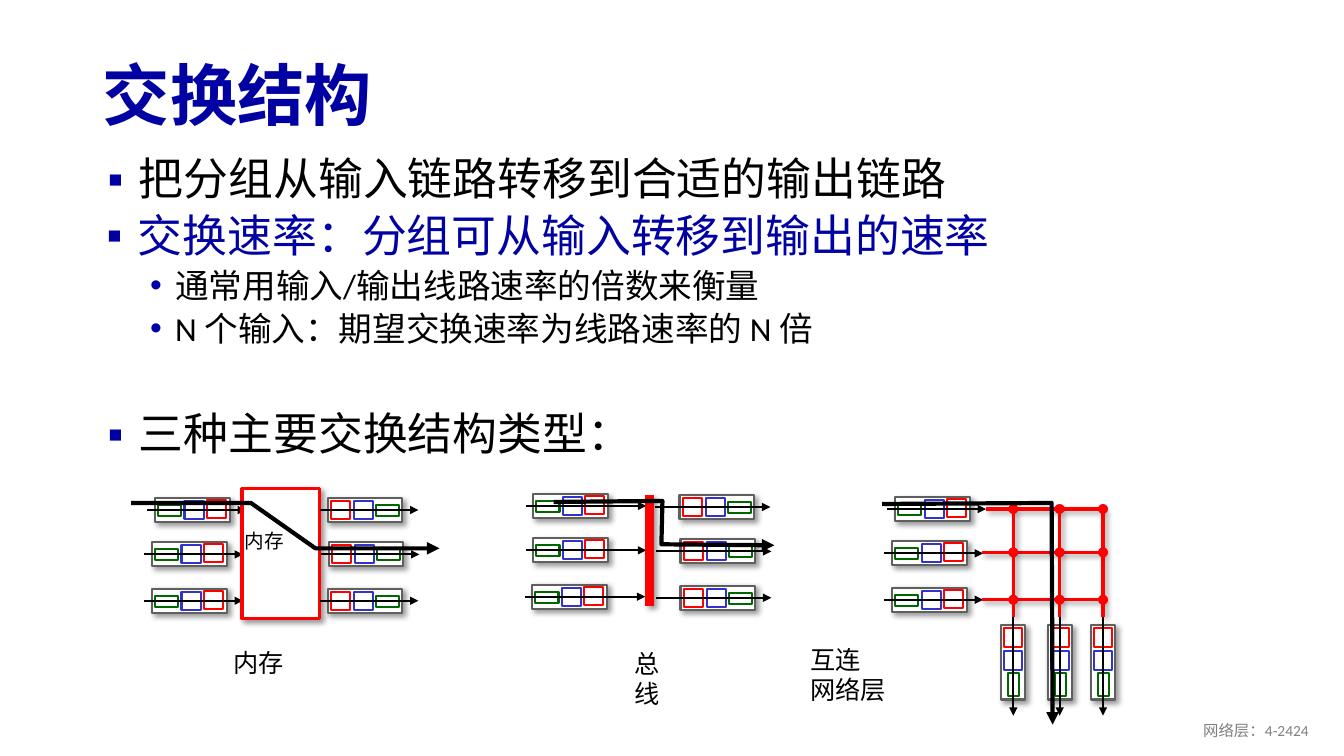
import lxml.etree
import pptx
import pptx.dml.color
import pptx.enum.shapes
import pptx.enum.text
import pptx.oxml
import pptx.oxml.ns
import pptx.util

Inches = pptx.util.Inches
Pt = pptx.util.Pt
Shapes = pptx.enum.shapes.MSO_SHAPE
Align = pptx.enum.text.PP_ALIGN
Anchor = pptx.enum.text.MSO_ANCHOR

COLORS = {"navy": "0000A3", "bullet": "0000A8", "black": "000000", "white": "FFFFFF",
          "frame": "5F5F5F", "green": "006600", "blue": "3333CC", "red": "FF0000",
          "footer": "808080"}
BUFFER_LENGTH, BUFFER_DEPTH = 0.74, 0.24
ROW_OFFSETS = (0, 0.44, 0.9)
# Packets in a buffer: colour, offset along it, offset across it, length, depth
INPUT_PACKETS = (("green", 0.03, 0.07, 0.23, 0.11), ("blue", 0.29, 0.03, 0.19, 0.18),
                 ("red", 0.51, 0.02, 0.19, 0.18))
OUTPUT_PACKETS = (("red", 0.03, 0.03, 0.19, 0.18), ("blue", 0.26, 0.03, 0.19, 0.18),
                  ("green", 0.48, 0.07, 0.23, 0.11))


def color(name):
    return pptx.dml.color.RGBColor.from_string(COLORS[name])


def child(parent, tag, **attributes):
    return lxml.etree.SubElement(parent, pptx.oxml.ns.qn(tag), attributes)


def add_shadow(effects):
    shadow = child(effects, "a:outerShdw", blurRad=str(Pt(4)), dist=str(Pt(3)),
                   dir="2700000", algn="tl", rotWithShape="0")
    child(child(shadow, "a:srgbClr", val=COLORS["black"]), "a:alpha", val="40000")


def add_arrowhead(shape):
    child(shape.element.spPr.find(pptx.oxml.ns.qn("a:ln")), "a:tailEnd", type="triangle")


def add_box(slide, left, top, width, height, line_color, line_width=1.5, shadow=False):
    box = slide.shapes.add_shape(Shapes.RECTANGLE, Inches(left), Inches(top),
                                 Inches(width), Inches(height))
    box.fill.solid()
    box.fill.fore_color.rgb = color("white")
    box.line.color.rgb = color(line_color)
    box.line.width = Pt(line_width)
    box.shadow.inherit = False
    if shadow:
        add_shadow(box.element.spPr.find(pptx.oxml.ns.qn("a:effectLst")))


def add_line(slide, start, end, line_color="black", width=1.5, arrow=False, shadow=False):
    points = [Inches(value) for value in (*start, *end)]
    line = slide.shapes.add_connector(pptx.enum.shapes.MSO_CONNECTOR.STRAIGHT, *points)
    line.line.color.rgb = color(line_color)
    line.line.width = Pt(width)
    if arrow:
        add_arrowhead(line)
    effects = child(line.element.spPr, "a:effectLst")
    if shadow:
        add_shadow(effects)


def add_route(slide, points):
    """Draw the thick path that one packet takes through a fabric."""
    points = [(Inches(x), Inches(y)) for x, y in points]
    builder = slide.shapes.build_freeform(*points[0])
    builder.add_line_segments(points[1:], close=False)
    route = builder.convert_to_shape()
    route.fill.background()
    route.line.color.rgb = color("black")
    route.line.width = Pt(3)
    route.shadow.inherit = False
    add_arrowhead(route)


def add_dot(slide, x, y, size=0.1):
    dot = slide.shapes.add_shape(Shapes.OVAL, Inches(x - size / 2), Inches(y - size / 2),
                                 Inches(size), Inches(size))
    dot.fill.solid()
    dot.fill.fore_color.rgb = color("red")
    dot.line.fill.background()
    dot.shadow.inherit = False


def add_buffer(slide, left, top, packets, lead=0.08, reach=0.9, vertical=False):
    """Draw a queue of packets; its arrow runs from lead before it to reach past its start."""
    def place(along, across):
        return (left + across, top + along) if vertical else (left + along, top + across)

    def size(length, depth):
        return (depth, length) if vertical else (length, depth)

    add_box(slide, left, top, *size(BUFFER_LENGTH, BUFFER_DEPTH), "frame", shadow=True)
    for packet_color, along, across, length, depth in packets:
        add_box(slide, *place(along, across), *size(length, depth), packet_color)
    middle = BUFFER_DEPTH / 2
    add_line(slide, place(-lead, middle), place(reach, middle), arrow=True)


def add_buffer_stack(slide, lefts, top, packets, **arrow):
    for left, offset in zip(lefts, ROW_OFFSETS):
        add_buffer(slide, left, top + offset, packets, **arrow)


def format_text(paragraph, size, text_color, font="Calibri", bold=False):
    for run in paragraph.runs:
        run.font.name = font
        run.font.size = Pt(size)
        run.font.bold = bold
        run.font.color.rgb = color(text_color)


def add_text(slide, left, top, width, height, text, size, text_color="black", font="Arial"):
    box = slide.shapes.add_textbox(Inches(left), Inches(top), Inches(width), Inches(height))
    frame = box.text_frame
    frame.word_wrap = True
    frame.text = text
    for paragraph in frame.paragraphs:
        format_text(paragraph, size, text_color, font)
    return frame


def add_bullets(slide, left, top, height, items):
    """Fill a box with (text, level, colour) bullets."""
    text = "\n".join(item[0] for item in items)
    frame = add_text(slide, left, top, 12.07, height, text, 32)
    for index, (paragraph, (_, level, text_color)) in enumerate(zip(frame.paragraphs, items)):
        indent, hanging, symbol, bullet_color, size, space = (
            (0.76, 0.25, "•", "bullet", 24, 5) if level else
            (0.39, 0.31, "▪", "navy", 32, 10))
        paragraph.level = level
        paragraph.line_spacing = 0.9
        paragraph.space_before = Pt(space if index else 0)
        properties = paragraph._p.get_or_add_pPr()
        properties.set("marL", str(Inches(indent)))
        properties.set("indent", str(-Inches(hanging)))
        child(child(properties, "a:buClr"), "a:srgbClr", val=COLORS[bullet_color])
        child(properties, "a:buFont", typeface="Arial")
        child(properties, "a:buChar", char=symbol)
        format_text(paragraph, size, text_color)


def add_title(slide, text):
    title = slide.shapes.title
    title.left, title.top = Inches(0.92), Inches(0.49)
    title.width, title.height = Inches(11.5), Inches(0.98)
    frame = title.text_frame
    frame.text = text
    frame.auto_size = pptx.enum.text.MSO_AUTO_SIZE.NONE
    frame.vertical_anchor = Anchor.MIDDLE
    frame.paragraphs[0].alignment = Align.LEFT
    frame.paragraphs[0].line_spacing = 0.9
    format_text(frame.paragraphs[0], 48, "navy", bold=True)


def add_bus_fabric(slide):
    add_buffer_stack(slide, (5.29, 5.29, 5.28), 4.9, INPUT_PACKETS, lead=0.07, reach=1.12)
    add_line(slide, (6.44, 4.91), (6.44, 6.01), "red", 6, shadow=True)
    add_buffer_stack(slide, (6.74, 6.75, 6.75), 4.91, OUTPUT_PACKETS, lead=0.24)
    add_text(slide, 6.19, 6.38, 0.6, 0.4, "总线", 18)
    add_route(slide, [(5.49, 4.98), (6.57, 4.97), (6.56, 5.4), (7.68, 5.41)])


def add_memory_fabric(slide):
    add_buffer_stack(slide, (1.54, 1.51, 1.51), 4.94, INPUT_PACKETS)
    add_box(slide, 2.4, 4.85, 0.77, 1.29, "red", 2.25, shadow=True)
    add_buffer_stack(slide, (3.25, 3.26, 3.25), 4.94, OUTPUT_PACKETS)
    add_text(slide, 2.22, 6.37, 1.1, 0.4, "内存", 18)
    add_text(slide, 2.33, 5.2, 0.9, 0.33, "内存", 14)
    add_route(slide, [(1.3, 4.99), (2.49, 4.99), (3.13, 5.44), (4.36, 5.44)])


def add_crossbar_fabric(slide):
    columns, rows = (10.05, 10.51, 10.94), (5.05, 5.48, 5.95)
    add_buffer_stack(slide, (8.88, 8.85, 8.85), 4.93, INPUT_PACKETS)
    for x in columns:
        add_buffer(slide, x - BUFFER_DEPTH / 2, 6.2, OUTPUT_PACKETS, vertical=True)
    for start, y in zip((9.78, 9.74, 9.74), rows):
        add_line(slide, (start, y), (columns[-1], y), "red", 2.25, shadow=True)
    for x in columns:
        add_line(slide, (x, 6.12), (x, rows[0]), "red", 2.25, shadow=True)
        for y in rows:
            add_dot(slide, x, y)
    add_text(slide, 7.94, 6.34, 1.91, 0.71, "互连\n网络层", 18)
    add_route(slide, [(8.75, 5), (10.43, 4.99), (10.44, 7.19)])


def main():
    presentation = pptx.Presentation()
    presentation.slide_width, presentation.slide_height = Inches(13.33), Inches(7.5)
    slide = presentation.slides.add_slide(presentation.slide_layouts[5])
    add_title(slide, "交换结构")
    add_bus_fabric(slide)
    add_memory_fabric(slide)
    add_crossbar_fabric(slide)
    add_bullets(slide, 0.89, 4.04, 0.72, [("三种主要交换结构类型：", 0, "black")])
    add_bullets(slide, 0.89, 1.51, 0.69, [("把分组从输入链路转移到合适的输出链路", 0, "black")])
    add_bullets(slide, 0.88, 2.07, 2.53, [
        ("交换速率：分组可从输入转移到输出的速率", 0, "navy"),
        ("通常用输入/输出线路速率的倍数来衡量", 1, "black"),
        ("N 个输入：期望交换速率为线路速率的 N 倍", 1, "black")])
    footer = add_text(slide, 10.08, 7.05, 3, 0.4, "网络层：4-2424", 11, "footer", "Calibri")
    footer.vertical_anchor = Anchor.MIDDLE
    footer.paragraphs[0].alignment = Align.RIGHT
    presentation.save("out.pptx")


if __name__ == "__main__":
    main()
